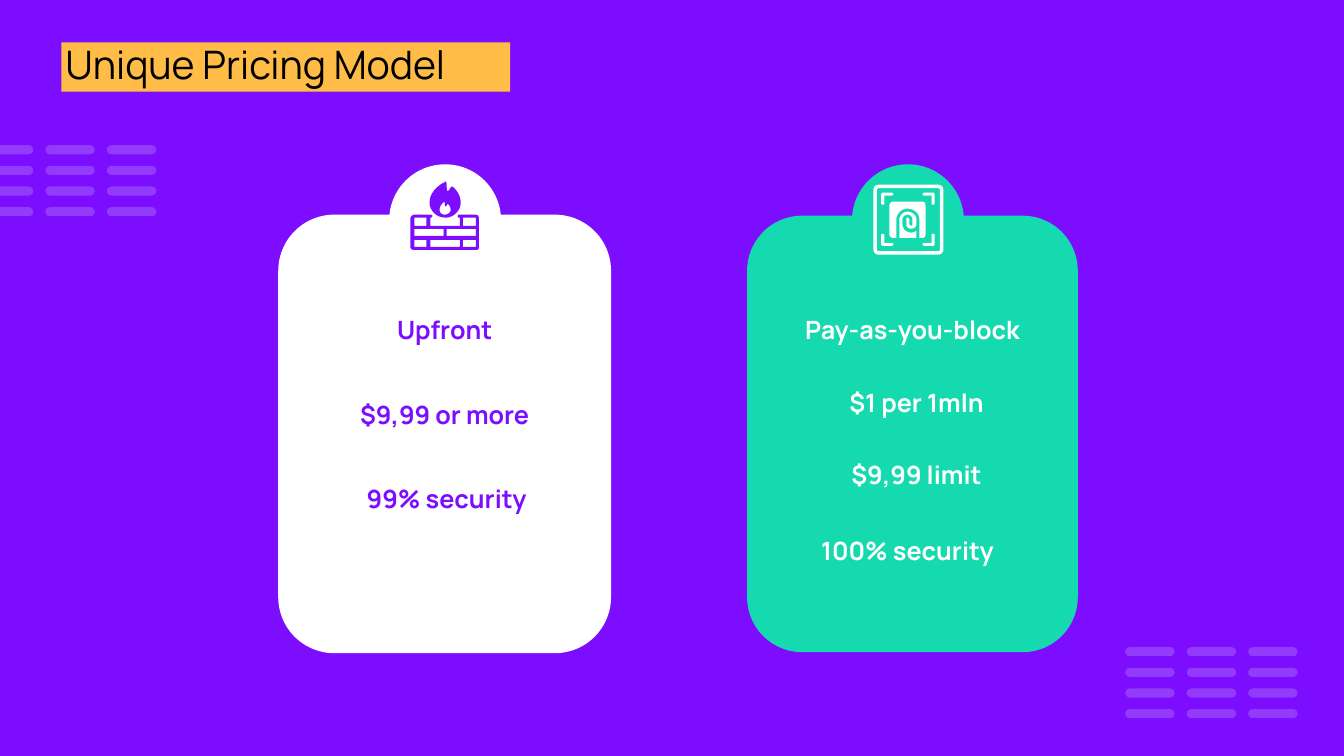
from dataclasses import dataclass

from lxml import etree
from pptx import Presentation
from pptx.dml.color import RGBColor
from pptx.enum import shapes, text
from pptx.oxml import ns
from pptx.util import Inches, Pt


@dataclass(frozen=True)
class Theme:
    purple: str = "7C0DFF"
    amber: str = "FFBD47"
    teal: str = "15D9AF"
    lilac: str = "C4A2F2"
    white: str = "FFFFFF"
    black: str = "000000"
    font: str = "Manrope"
    title_size: int = 28
    body_size: int = 18
    dash_alpha: int = 31


T = Theme()
SHAPE = shapes.MSO_SHAPE

# Icon outlines, in hundredths of an inch
WALL = ("M65 33 L48 33 C47 33 47 34 47 34 C47 35 47 36 48 36 L49 36 L49 44 L20 44 L20 36 "
        "C21 36 22 35 22 34 C22 34 21 33 20 33 L4 33 C2 33 0 35 0 37 L0 65 C0 67 2 68 4 68 "
        "L65 68 C67 68 68 67 68 65 L68 37 C68 35 67 33 65 33")
BRICKS = [(4, 36, 16, 44), (52, 36, 65, 44), (4, 47, 33, 54), (36, 47, 65, 54),
          (4, 58, 16, 65), (20, 58, 49, 65), (52, 58, 65, 65)]
FLAME = ("M43 6 C42 5 41 5 40 6 C39 8 38 9 37 10 C36 8 36 5 36 2 C36 1 35 1 35 0 "
         "C34 0 34 0 34 1 C33 1 19 8 19 21 C19 29 26 36 35 36 C43 36 50 29 50 21 "
         "C50 15 47 10 43 6 "
         "M34 33 C31 33 29 31 29 28 C29 23 34 20 34 20 C34 22 34 23 35 25 "
         "C36 24 37 23 37 22 C39 24 40 26 40 28 C40 31 37 33 34 33")
DOOR = ("M49 17 L20 17 C18 17 16 19 16 21 L16 49 C16 52 18 53 20 53 L23 53 L23 35 "
        "C23 29 28 24 34 24 C41 24 46 29 46 35 L46 53 L49 53 C51 53 52 52 52 49 L52 21 "
        "C52 19 51 17 49 17")
FINGERPRINT = ("M34 27 C30 27 26 31 26 35 L26 53 L43 53 L43 46 C39 49 34 48 31 45 "
               "C30 43 29 41 29 40 L29 35 C29 32 32 30 34 30 C37 30 39 32 39 35 L39 40 "
               "C39 40 39 41 38 41 C37 41 36 40 36 40 L36 35 C36 34 35 33 34 33 "
               "C33 33 33 34 33 35 L33 40 C33 42 35 44 38 44 C40 44 43 42 43 40 L43 35 "
               "C43 31 39 27 34 27")
BRACKET = ("M18 8 L10 8 C9 8 8 9 8 10 L8 19 C8 20 9 20 10 20 C11 20 11 20 11 19 L11 11 "
           "L18 11 C19 11 20 11 20 10 C20 9 19 8 18 8")


def paint(sp, fill=None, line=None, width=1.5):
    sp.shadow.inherit = False
    if fill:
        sp.fill.solid()
        sp.fill.fore_color.rgb = RGBColor.from_string(fill)
    else:
        sp.fill.background()
    if line:
        sp.line.color.rgb = RGBColor.from_string(line)
        sp.line.width = Pt(width)
    else:
        sp.line.fill.background()
    return sp


def add_block(parent, kind, x, y, w, h, **style):
    sp = parent.shapes.add_shape(kind, Inches(x), Inches(y), Inches(w), Inches(h))
    return paint(sp, **style)


def add_text(slide, words, x, y, w, h, size, color, bold=False, align=None, wrap=True):
    tf = slide.shapes.add_textbox(Inches(x), Inches(y), Inches(w), Inches(h)).text_frame
    tf.word_wrap = wrap
    tf.auto_size = text.MSO_AUTO_SIZE.SHAPE_TO_FIT_TEXT
    p = tf.paragraphs[0]
    p.alignment = align
    r = p.add_run()
    r.text = words
    for name, value in {"name": T.font, "size": Pt(size), "bold": bold}.items():
        setattr(r.font, name, value)
    r.font.color.rgb = RGBColor.from_string(color)


def contours(outline, steps=8):
    """Turn M, L and C commands into lists of points, sampling each curve."""
    result = []
    for part in outline.replace("M", "|M").replace("L", "|L").replace("C", "|C").split("|")[1:]:
        n = [float(v) for v in part[1:].split()]
        pts = list(zip(n[::2], n[1::2]))
        if part[0] == "M":
            result.append(pts)
        elif part[0] == "L":
            result[-1] += pts
        else:
            curve = [result[-1][-1]] + pts
            for i in range(1, steps + 1):
                t = i / steps
                weights = ((1 - t) ** 3, 3 * t * (1 - t) ** 2, 3 * t * t * (1 - t), t ** 3)
                result[-1].append(tuple(sum(k * q[axis] for k, q in zip(weights, curve))
                                        for axis in (0, 1)))
    return result


def add_outline(parent, outline, x, y, color, flip_x=False, flip_y=False, side=69):
    def place(q):
        px = side - q[0] if flip_x else q[0]
        py = side - q[1] if flip_y else q[1]
        return Inches(x + px / 100), Inches(y + py / 100)

    fb = None
    for points in contours(outline):
        pts = [place(q) for q in points]
        if fb is None:
            fb = parent.shapes.build_freeform(*pts[0])
        else:
            fb.move_to(*pts[0])
        fb.add_line_segments(pts[1:], close=True)
    paint(fb.convert_to_shape(), fill=color)


def firewall_icon(parent, x, y, color):
    holes = "".join(f" M{l} {t} L{r} {t} L{r} {b} L{l} {b}" for l, t, r, b in BRICKS)
    add_outline(parent, WALL + holes, x, y, color)
    add_outline(parent, FLAME, x, y, color)


def fingerprint_icon(parent, x, y, color):
    for outline in (DOOR, FINGERPRINT):
        add_outline(parent, outline, x, y, color)
    frame = add_block(parent, SHAPE.ROUNDED_RECTANGLE, x + 0.02, y + 0.02, 0.66, 0.66,
                      line=color, width=2.5)
    frame.adjustments[0] = 0.05
    for flip_x in (False, True):
        for flip_y in (False, True):
            add_outline(parent, BRACKET, x, y, color, flip_x, flip_y)


def title_bar(slide, x, y, w, h):
    add_block(slide, SHAPE.RECTANGLE, x, y, w, h, fill=T.amber)
    add_text(slide, "Unique Pricing Model", x - 0.06, y - 0.07, w, 0.57,
             T.title_size, T.black, wrap=False)


def price_card(slide, x, y, w, h, fill, ink, line, knob_dx, icon, icon_dy, rows):
    """Card with a round icon tab; rows hold (words, dx, dy) from the card corner."""
    grp = slide.shapes.add_group_shape()
    add_block(grp, SHAPE.ROUNDED_RECTANGLE, x, y, w, h, fill=fill, line=line)
    knob_x, knob_y = x + knob_dx, y - 0.51
    add_block(grp, SHAPE.OVAL, knob_x, knob_y, 1.11, 1.11, fill=fill)
    icon(grp, knob_x + 0.21, knob_y + icon_dy, ink)
    for words, dx, dy in rows:
        add_text(slide, words, x + dx, y + dy, w, 0.4, T.body_size, ink,
                 bold=True, align=text.PP_ALIGN.CENTER)


def dash_grid(slide, x, y, columns=3, rows=4):
    grp = slide.shapes.add_group_shape()
    for row in range(rows):
        for col in range(columns):
            sp = add_block(grp, SHAPE.ROUNDED_RECTANGLE, x + col * 0.61, y + row * 0.205,
                           0.49, 0.09, fill=T.lilac)
            sp.adjustments[0] = 0.5
            clr = sp.fill._xPr.find(".//" + ns.qn("a:srgbClr"))
            etree.SubElement(clr, ns.qn("a:alpha")).set("val", str(T.dash_alpha * 1000))


def main():
    prs = Presentation()
    prs.slide_width, prs.slide_height = Inches(13.33), Inches(7.5)
    slide = prs.slides.add_slide(prs.slide_layouts[6])
    slide.background.fill.solid()
    slide.background.fill.fore_color.rgb = RGBColor.from_string(T.purple)

    title_bar(slide, 0.61, 0.42, 4.45, 0.49)
    dash_grid(slide, 11.16, 6.42)
    dash_grid(slide, -0.16, 1.44)
    price_card(slide, 2.77, 2.14, 3.28, 4.33, T.white, T.purple, T.white, 1.09,
               firewall_icon, 0.17,
               [("Upfront", 0, 0.93), ("$9,99 or more", 0, 1.77), ("99% security", 0.02, 2.61)])
    price_card(slide, 7.41, 2.14, 3.28, 4.33, T.teal, T.white, None, 1.04,
               fingerprint_icon, 0.2,
               [("Pay-as-you-block", 0, 0.93), ("$1 per 1mln", 0.04, 1.65),
                ("$9,99 limit", 0.04, 2.37), ("100% security", -0.05, 3.12)])
    prs.save("out.pptx")


if __name__ == "__main__":
    main()
